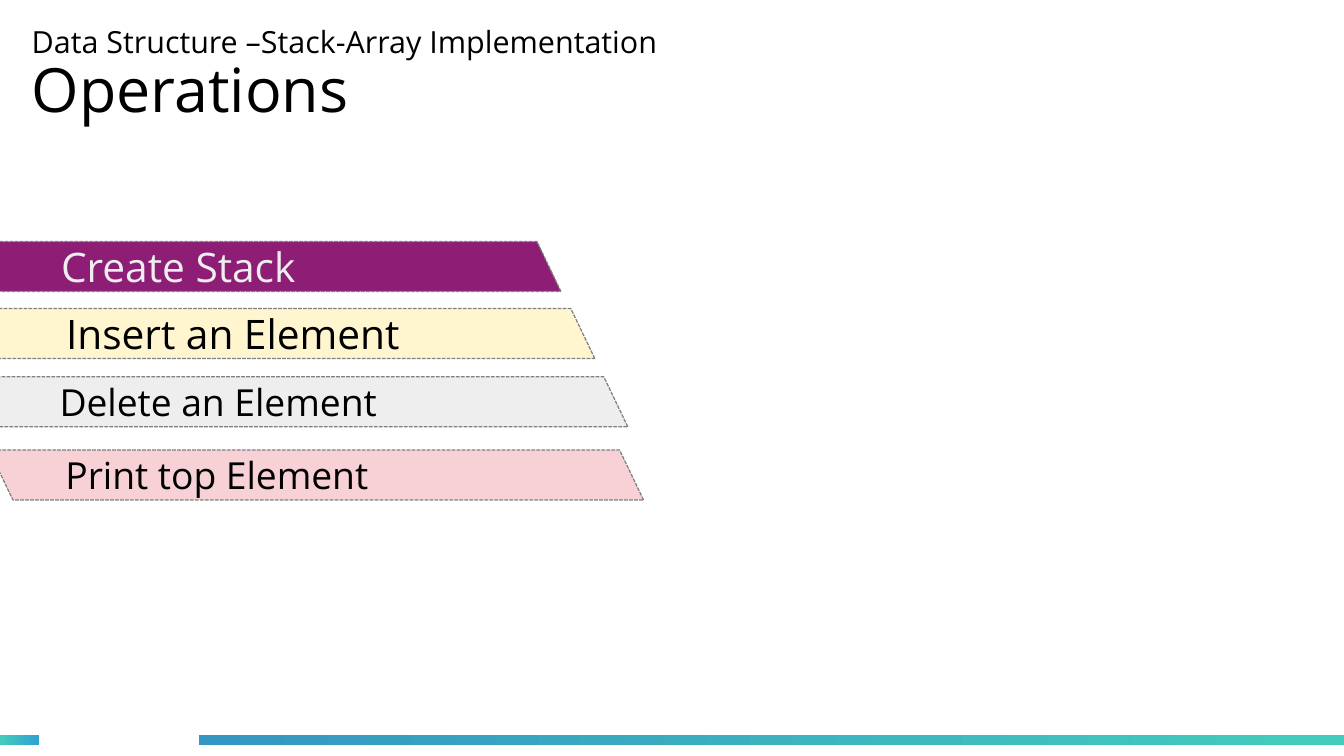
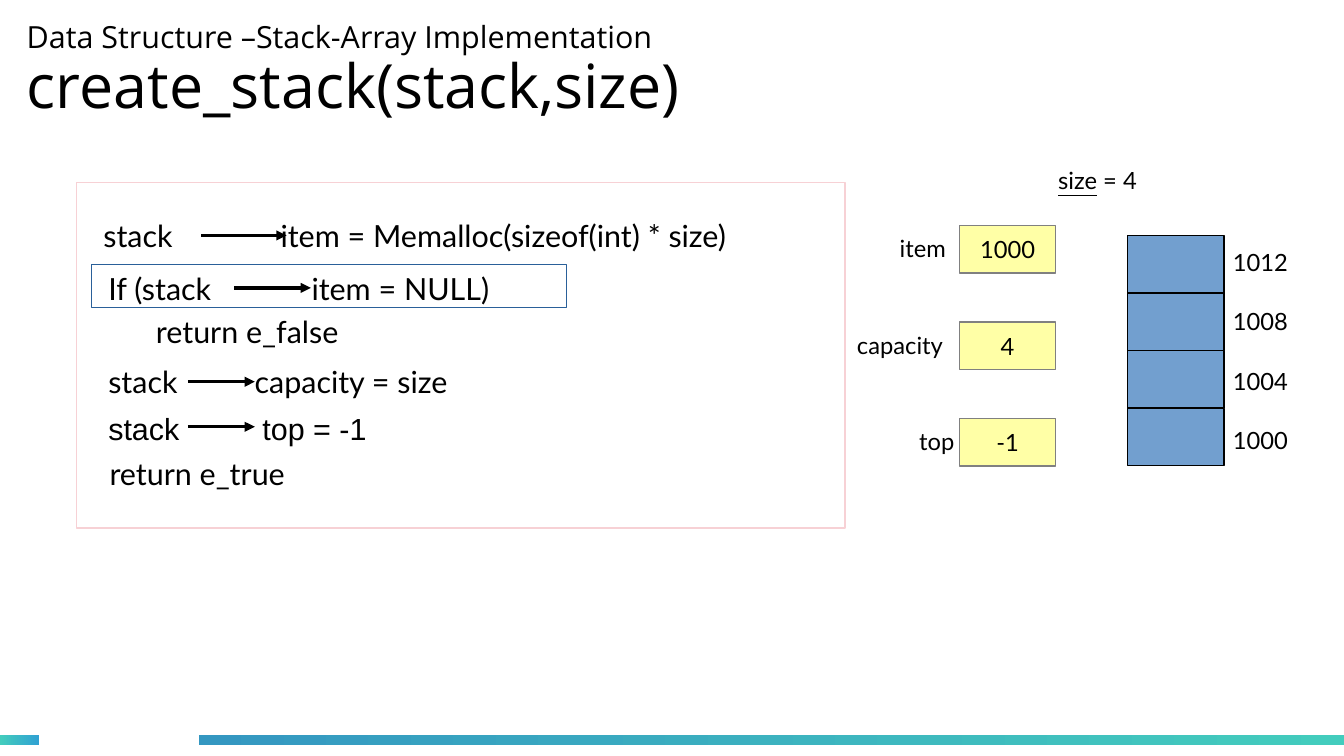
from lxml.etree import SubElement
from pptx import Presentation
from pptx.dml.color import RGBColor
from pptx.enum.dml import MSO_LINE
from pptx.enum.shapes import MSO_CONNECTOR, MSO_SHAPE
from pptx.enum.text import MSO_ANCHOR, MSO_AUTO_SIZE, PP_ALIGN
from pptx.oxml.ns import qn
from pptx.util import Pt

rgb = RGBColor.from_string
BLACK, WHITE, GREY, PINK = "000000", "FFFFFF", "808080", "F7D1D5"
HEADING_FONT, BODY_FONT = "Open Sans", "Lato"


def add_box(s, kind, x, y, w, h, fill=None, line=None):
    sp = s.shapes.add_shape(kind, Pt(x), Pt(y), Pt(w), Pt(h))
    sp.shadow.inherit = False
    if fill:
        sp.fill.solid()
        sp.fill.fore_color.rgb = rgb(fill)
    if line:
        sp.line.color.rgb = rgb(line)
        sp.line.width = Pt(0)
    else:
        sp.line.fill.background()
    return sp


def write(tf, text, size, font=BODY_FONT, color=BLACK, tab=None, align=PP_ALIGN.LEFT):
    """Fill the first paragraph; tab is the position of its only tab stop."""
    tf.word_wrap = True
    p = tf.paragraphs[0]
    p.text = text
    p.alignment = align
    if tab:
        tabs = SubElement(p._p.get_or_add_pPr(), qn("a:tabLst"))
        SubElement(tabs, qn("a:tab"), pos=str(Pt(tab)), algn="l")
    p.font.name = font
    p.font.size = Pt(size)
    p.font.color.rgb = rgb(color)
    return p


prs = Presentation()
prs.slide_width, prs.slide_height = Pt(793.7), Pt(446.4)
layout = prs.slide_layouts[5]

# Slides with their shared title style
slides = []
for name, x, y in [("Operations", 18.7, 8.6), ("create_stack(stack,size)", 15.8, 5.8)]:
    s = prs.slides.add_slide(layout)
    title = s.shapes.title
    title.left, title.top, title.width, title.height = Pt(x), Pt(y), Pt(553), Pt(73.4)
    tf = title.text_frame
    tf.margin_left = tf.margin_right = tf.margin_top = tf.margin_bottom = 0
    tf.vertical_anchor = MSO_ANCHOR.MIDDLE
    tf.auto_size = MSO_AUTO_SIZE.NONE
    p = write(tf, "", 36, HEADING_FONT)
    p.line_spacing = 0.9
    r = p.add_run()
    r.text = "Data Structure –Stack-Array Implementation"
    r.font.size = Pt(18)
    p.add_line_break()
    p.add_run().text = name
    slides.append(s)
operations, create_stack = slides

# Footer bands, moved to the layout so that every slide shows them
bands = [(0, 23, "43CCBD", "30A2D2"), (117.4, 676.3, "3497C1", "43CCBD")]
for i, (x, w, start, end) in enumerate(bands):
    band = add_box(operations, MSO_SHAPE.RECTANGLE, x, 434.2, w, 5.8)
    band.fill.gradient()
    band.fill.gradient_angle = 0
    for stop, color in zip(band.fill.gradient_stops, (start, end)):
        stop.color.rgb = rgb(color)
    band.element.nvSpPr.cNvPr.set("id", str(20 + i))
    layout.shapes.element.append(band.element)

# Slide 1: slanted bars
bars = [
    ("Create Stack", -18.7, 142.6, 350, 24, 19.7, "8D1D75", "EEEEEE"),
    ("Insert an Element", -17.3, 182.2, 368.6, 24, 19.7, "FFF5CE", BLACK),
    ("Delete an Element", -15.8, 222.5, 386.6, 22, 12.9, "EEEEEE", BLACK),
    ("Print top Element", -6.5, 265.7, 386.6, 22, 7.2, PINK, BLACK),
]
for text, x, y, w, size, margin, fill, color in bars:
    sp = add_box(operations, MSO_SHAPE.PARALLELOGRAM, x, y, w, 29.5, fill, GREY)
    sp.adjustments[0] = 0.48
    sp.line.dash_style = MSO_LINE.SQUARE_DOT
    sp.element.spPr.find(qn("a:xfrm")).set("flipH", "1")
    sp.text_frame.margin_left = Pt(margin)
    sp.text_frame.vertical_anchor = MSO_ANCHOR.MIDDLE
    write(sp.text_frame, text, size, HEADING_FONT, color)

# Slide 2: code panel
s = create_stack
add_box(s, MSO_SHAPE.RECTANGLE, 45.4, 108, 453.6, 203.8, WHITE, PINK)
add_box(s, MSO_SHAPE.RECTANGLE, 54, 156.2, 280.8, 25.2, WHITE, "2A6099")
code = [
    ("stack\titem = Memalloc(sizeof(int) * size)", 54, 124.6, BODY_FONT, 104.6),
    ("If (stack\titem = NULL)", 56.9, 156.2, BODY_FONT, 120),
    ("return e_false", 85, 181.4, BODY_FONT, None),
    ("stack\tcapacity = size", 56.9, 211, BODY_FONT, 86.4),
    ("stack\ttop = -1", 56.9, 238.3, "Arial", 91),
    ("return e_true", 57.6, 265, BODY_FONT, None),
]
for text, x, y, font, tab in code:
    sp = s.shapes.add_textbox(Pt(x), Pt(y), Pt(430), Pt(30))
    write(sp.text_frame, text, 18, font, tab=tab)

for x1, x2, y in [(118.8, 169.2, 139), (138.2, 183.6, 170),
                  (110.9, 150.5, 225.4), (110.9, 150.5, 252)]:
    arrow = s.shapes.add_connector(MSO_CONNECTOR.STRAIGHT, Pt(x1), Pt(y), Pt(x2), Pt(y))
    arrow.line.color.rgb = rgb(BLACK)
    arrow.line.width = Pt(0)
    SubElement(arrow.line._get_or_add_ln(), qn("a:tailEnd"), type="triangle")
    SubElement(arrow.element.spPr, qn("a:effectLst"))

# Slide 2: fields of the stack
fields = [("item", 524.2, "1000"), ("capacity", 499, "4"), ("top", 535.7, "-1")]
for i, (name, x, value) in enumerate(fields):
    y = 133.2 + 57 * i
    sp = add_box(s, MSO_SHAPE.RECTANGLE, 566.6, y, 56.9, 28, "FFFFA6", GREY)
    sp.text_frame.vertical_anchor = MSO_ANCHOR.MIDDLE
    write(sp.text_frame, value, 14, align=PP_ALIGN.CENTER)
    sp = s.shapes.add_textbox(Pt(x), Pt(y + 1.4), Pt(79), Pt(26))
    write(sp.text_frame, name, 14)

# Slide 2: memory cells with addresses
for i, address in enumerate(["1012", "1008", "1004", "1000"]):
    add_box(s, MSO_SHAPE.RECTANGLE, 666, 139 + 34 * i, 56.9, 34, "729FCF", BLACK)
    sp = s.shapes.add_textbox(Pt(721), Pt(142.6 + 35.1 * i), Pt(57), Pt(27))
    write(sp.text_frame, address, 14)

sp = s.shapes.add_textbox(Pt(617.8), Pt(94.3), Pt(93.6), Pt(27))
p = write(sp.text_frame, "", 14)
r = p.add_run()
r.text = "size"
r.font.underline = True
p.add_run().text = " = 4"

prs.save("out.pptx")
